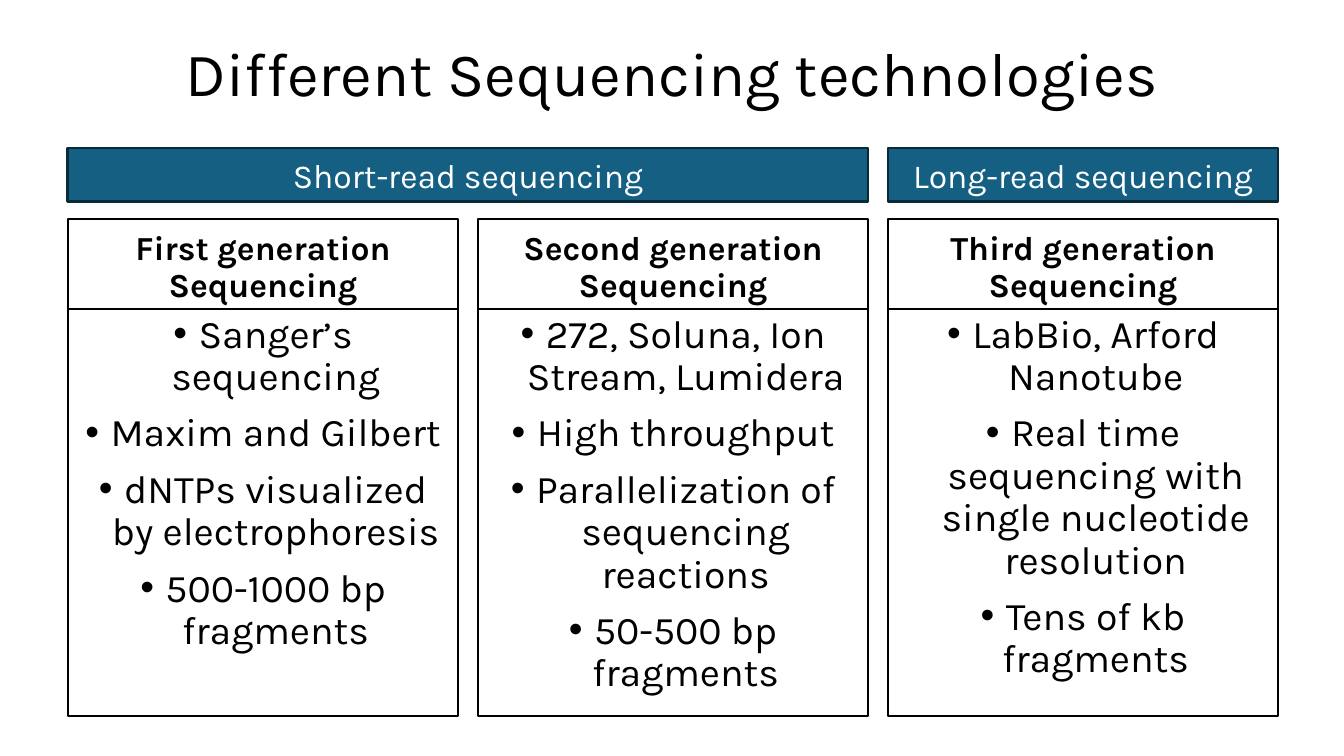
from lxml import etree
from pptx import Presentation, util as u
from pptx.dml.color import RGBColor
from pptx.enum import shapes, text
from pptx.oxml.ns import qn

FONT = "Karla"
HUES = {"ink": "000000", "paper": "FFFFFF", "band": "156082", "edge": "092A39"}
WIDE, HIGH = 13.33, 7.5
LEFT, SPAN, GAP = 0.67, 12.01, 0.19
COL = (SPAN - 2 * GAP) / 3
BAND_TOP, BAND_HIGH = 1.47, 0.53
CARD_TOP, HEAD_HIGH, CARD_HIGH = 2.17, 0.9, 4.93

BANDS = [("Short-read sequencing", 0, 2), ("Long-read sequencing", 2, 1)]
CARDS = [
    ("First generation Sequencing", [
        "Sanger’s sequencing", "Maxim and Gilbert",
        "dNTPs visualized by electrophoresis", "500-1000 bp fragments"]),
    ("Second generation Sequencing", [
        "272, Soluna, Ion Stream, Lumidera", "High throughput",
        "Parallelization of sequencing reactions", "50-500 bp fragments"]),
    ("Third generation Sequencing", [
        "LabBio, Arford Nanotube",
        "Real time sequencing with single nucleotide resolution",
        "Tens of kb fragments"]),
]


def tint(name):
    return RGBColor.from_string(HUES[name])


def place(shape, box):
    shape.left, shape.top, shape.width, shape.height = map(u.Inches, box)


def columns(first, count, top, high):
    return (LEFT + first * (COL + GAP), top, count * COL + (count - 1) * GAP, high)


def bullet(para):
    props = para._p.get_or_add_pPr()
    props.set("marL", str(u.Inches(0.25)))
    props.set("indent", str(u.Inches(-0.25)))
    etree.SubElement(props, qn("a:buFont")).set("typeface", "Arial")
    etree.SubElement(props, qn("a:buChar")).set("char", "•")


def write(frame, lines, size, hue, anchor, bold=False, dots=False, pitch=0.9):
    frame.word_wrap = True
    frame.auto_size = text.MSO_AUTO_SIZE.NONE
    frame.vertical_anchor = anchor
    for i, line in enumerate(lines):
        para = frame.add_paragraph() if i else frame.paragraphs[0]
        if dots:
            bullet(para)
        para.alignment = text.PP_ALIGN.CENTER
        para.line_spacing = pitch
        para.space_before = u.Pt(10 if i else 0)
        run = para.add_run()
        run.text = line
        run.font.name, run.font.size, run.font.bold = FONT, u.Pt(size), bold
        run.font.color.rgb = tint(hue)


def panel(slide, box, fill, line):
    shape = slide.shapes.add_shape(shapes.MSO_SHAPE.RECTANGLE, *map(u.Inches, box))
    shape.shadow.inherit = False
    shape.fill.solid()
    shape.fill.fore_color.rgb = tint(fill)
    shape.line.color.rgb = tint(line)
    shape.line.width = u.Pt(1.5)
    return shape.text_frame


def title(slide, box, words):
    place(slide.shapes.title, box)
    write(slide.shapes.title.text_frame, [words], 44, "ink", text.MSO_ANCHOR.MIDDLE)


def band(slide, box, words):
    frame = panel(slide, box, "band", "edge")
    write(frame, [words], 24, "paper", text.MSO_ANCHOR.MIDDLE, pitch=1.0)


def card(slide, box, head, points):
    left, top, wide, high = box
    frame = panel(slide, (left, top, wide, HEAD_HIGH), "paper", "ink")
    write(frame, [head], 24, "ink", text.MSO_ANCHOR.BOTTOM, bold=True)
    body = (left, top + HEAD_HIGH, wide, high - HEAD_HIGH)
    frame = panel(slide, body, "paper", "ink")
    write(frame, points, 28, "ink", text.MSO_ANCHOR.TOP, dots=True)


def main():
    deck = Presentation()
    deck.slide_width, deck.slide_height = u.Inches(WIDE), u.Inches(HIGH)
    slide = deck.slides.add_slide(deck.slide_layouts[5])
    title(slide, (0.92, 0.03, 11.5, 1.45), "Different Sequencing technologies")
    for i, (head, points) in enumerate(CARDS):
        card(slide, columns(i, 1, CARD_TOP, CARD_HIGH), head, points)
    for words, first, count in BANDS:
        band(slide, columns(first, count, BAND_TOP, BAND_HIGH), words)
    deck.save("out.pptx")


if __name__ == "__main__":
    main()
